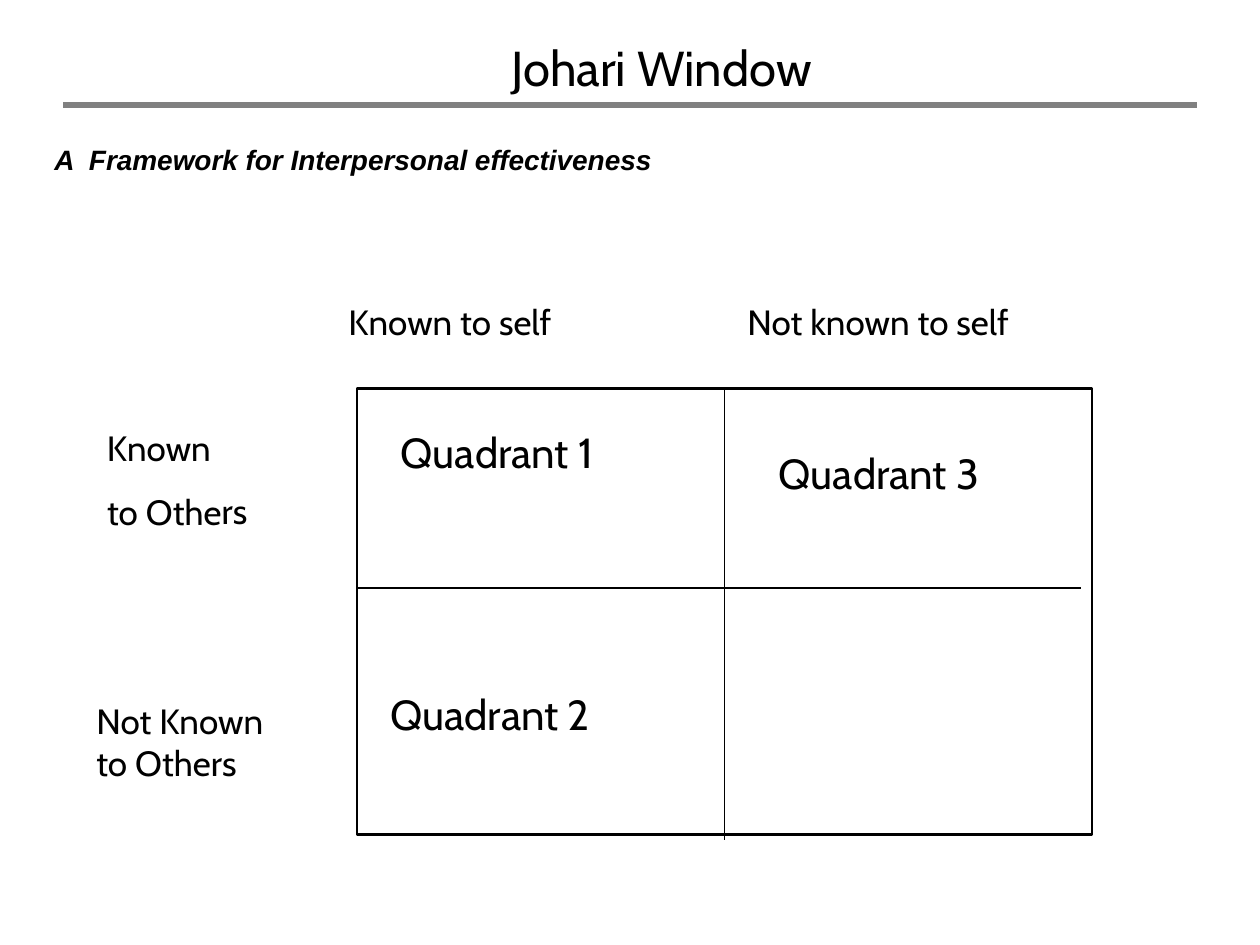
from lxml import etree
from pptx import Presentation
from pptx import util as u
from pptx.dml.color import RGBColor
from pptx.enum import shapes, text
from pptx.oxml import ns

COLORS = {"ink": "000000", "rule": "808080"}
COLUMNS, ROWS = 120, 90

FORMATS = {
    "title": {"name": "Cabin", "size": u.Pt(28)},
    "heading": {"name": "Cabin", "size": u.Pt(20)},
    "quadrant": {"name": "Cabin", "size": u.Pt(24)},
    "subtitle": {"name": "Arial", "size": u.Pt(16), "bold": True, "italic": True},
}

LABELS = [
    (["Johari Window"], "title", (24, 3, 78, 6.8)),
    (["Known to self"], "heading", (32, 28, 32, 5.3)),
    (["Not known to self"], "heading", (70, 28, 31, 5.3)),
    (["Known", "to Others"], "heading", (9, 40, 21, 11.3)),
    (["Not Known to Others"], "heading", (8, 66, 19, 13.2)),
    (["Quadrant 1"], "quadrant", (37, 40, 28, 6)),
    (["Quadrant 2"], "quadrant", (36, 65, 28, 6)),
    (["Quadrant 3"], "quadrant", (73, 42, 28, 6)),
    (["A  Framework for Interpersonal effectiveness"], "subtitle", (4, 13, 104, 4.4)),
]
ROTATIONS = {"Known": -0.2}
WINDOW = (34, 37, 70, 42.5)
TITLE_RULE = (6, 10, 114, 10)
DIVIDERS = [(69, 37, 69, 80), (34, 56, 103, 56)]

presentation = Presentation()
presentation.slide_width, presentation.slide_height = u.Inches(10), u.Inches(7.5)
slide = presentation.slides.add_slide(presentation.slide_layouts[6])


def place(cells):
    steps = (presentation.slide_width / COLUMNS, presentation.slide_height / ROWS)
    return [round(cell * steps[i % 2]) for i, cell in enumerate(cells)]


def style_line(line, color, width):
    line.color.rgb = RGBColor.from_string(COLORS[color])
    line.width = u.Pt(width)


def add_line(ends, color, width):
    connector = slide.shapes.add_connector(shapes.MSO_CONNECTOR.STRAIGHT, *place(ends))
    style_line(connector.line, color, width)
    etree.SubElement(connector._element.spPr, ns.qn("a:effectLst"))


def add_label(lines, kind, cells):
    box = slide.shapes.add_textbox(*place(cells))
    box.rotation = ROTATIONS.get(lines[0], 0)
    frame = box.text_frame
    frame.word_wrap = True
    frame.text = "\n".join(lines)
    for index, paragraph in enumerate(frame.paragraphs):
        if index:
            paragraph.space_before = u.Pt(12.5)
        if kind == "title":
            paragraph.alignment = text.PP_ALIGN.CENTER
        font = paragraph.runs[0].font
        for attribute, value in FORMATS[kind].items():
            setattr(font, attribute, value)
        font.color.rgb = RGBColor.from_string(COLORS["ink"])


add_line(TITLE_RULE, "rule", 3)
window = slide.shapes.add_shape(shapes.MSO_SHAPE.RECTANGLE, *place(WINDOW))
window.shadow.inherit = False
window.fill.background()
style_line(window.line, "ink", 1.5)
for divider in DIVIDERS:
    add_line(divider, "ink", 0.75)
for label in LABELS:
    add_label(*label)

presentation.save("out.pptx")
